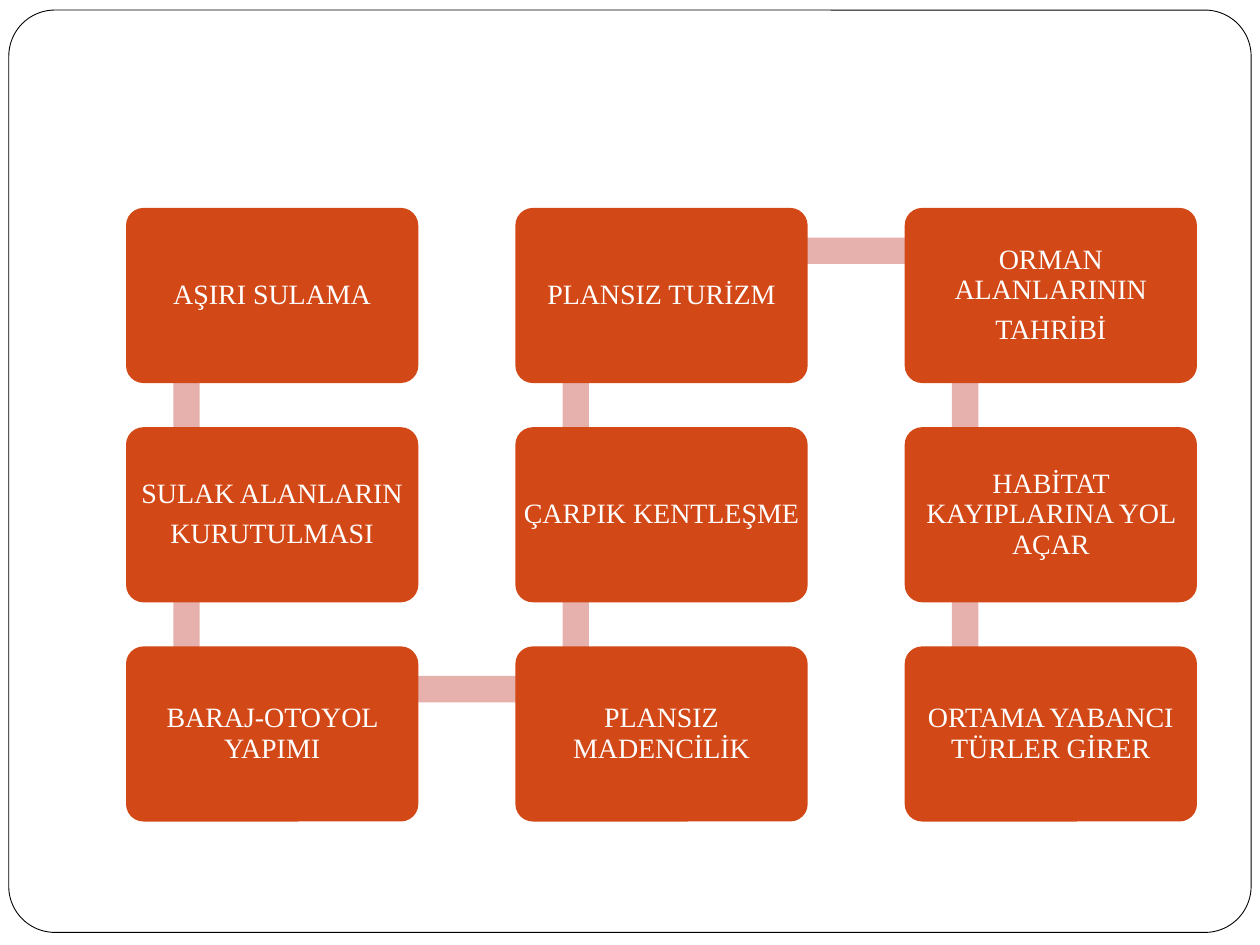
import math
import pptx
import pptx.util
import pptx.dml.color
import pptx.enum.shapes
import pptx.enum.text

Inches, Pt = pptx.util.Inches, pptx.util.Pt
KIND = pptx.enum.shapes.MSO_SHAPE

STEPS = [
    "AŞIRI SULAMA",
    "SULAK ALANLARIN\nKURUTULMASI",
    "BARAJ-OTOYOL YAPIMI",
    "PLANSIZ MADENCİLİK",
    "ÇARPIK KENTLEŞME",
    "PLANSIZ TURİZM",
    "ORMAN ALANLARININ\nTAHRİBİ",
    "HABİTAT KAYIPLARINA YOL AÇAR",
    "ORTAMA YABANCI TÜRLER GİRER",
]
COLORS = {"paper": "FFFFFF", "frame": "000000", "box": "D34817", "bar": "E6B1AC"}
ROWS = 3
LEFT, TOP = 1, 1.65
WIDE, HIGH = 2.32, 1.39
STEP_X, STEP_Y = 3.09, 1.74
PIN_X, PIN_Y = 0.48, 0.34
THICK = 0.21


def color(name):
    return pptx.dml.color.RGBColor.from_string(COLORS[name])


def add_block(slide, kind, place, fill):
    block = slide.shapes.add_shape(kind, *map(Inches, place))
    block.shadow.inherit = False
    block.fill.solid()
    block.fill.fore_color.rgb = color(fill)
    block.line.fill.background()
    return block


def find_spot(index):
    col, row = divmod(index, ROWS)
    if col % 2:
        row = ROWS - 1 - row
    return LEFT + col * STEP_X, TOP + row * STEP_Y


def add_bar(slide, start, end):
    run, drop = end[0] - start[0], end[1] - start[1]
    size = math.hypot(run, drop) - 0.01
    mid_x = start[0] + run / 2 + PIN_X
    mid_y = start[1] + drop / 2 + PIN_Y
    place = (mid_x - size / 2, mid_y - THICK / 2, size, THICK)
    bar = add_block(slide, KIND.RECTANGLE, place, "bar")
    bar.rotation = round(math.degrees(math.atan2(drop, run))) % 360


def add_box(slide, spot, text):
    box = add_block(slide, KIND.ROUNDED_RECTANGLE, (*spot, WIDE, HIGH), "box")
    box.adjustments[0] = 0.1
    frame = box.text_frame
    frame.text = text
    frame.word_wrap = True
    frame.vertical_anchor = pptx.enum.text.MSO_ANCHOR.MIDDLE
    frame.margin_left = frame.margin_right = Inches(0.02)
    frame.margin_top = frame.margin_bottom = Inches(0.03)
    for para in frame.paragraphs:
        para.alignment = pptx.enum.text.PP_ALIGN.CENTER
        para.line_spacing = 0.9
        para.space_after = Pt(5.6)
        for run in para.runs:
            run.font.name = "Times New Roman"
            run.font.size = Pt(16)
            run.font.color.rgb = color("paper")


def main():
    deck = pptx.Presentation()
    deck.slide_width, deck.slide_height = Inches(10), Inches(7.5)
    slide = deck.slides.add_slide(deck.slide_layouts[6])

    frame = add_block(slide, KIND.ROUNDED_RECTANGLE, (0.07, 0.08, 9.86, 7.32), "paper")
    frame.adjustments[0] = 0.05
    frame.line.color.rgb = color("frame")
    frame.line.width = Pt(0.5)

    spots = [find_spot(index) for index in range(len(STEPS))]
    for start, end in zip(spots, spots[1:]):
        add_bar(slide, start, end)
    for spot, text in zip(spots, STEPS):
        add_box(slide, spot, text)

    deck.save("out.pptx")


if __name__ == "__main__":
    main()
